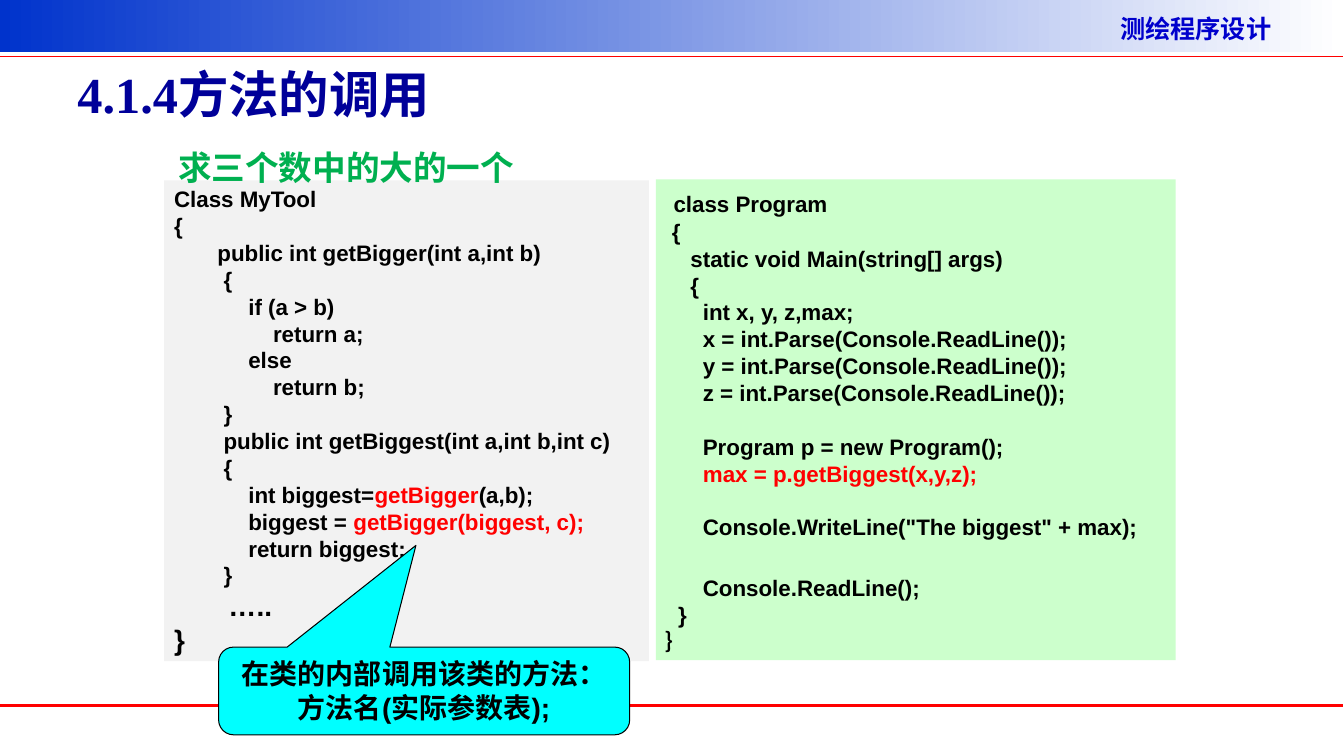
from lxml import etree
from pptx import Presentation
from pptx import util as u
from pptx.dml import color
from pptx.enum import shapes, text
from pptx.oxml import ns

RED = "FF0000"
BLACK = "000000"

TOOL_CODE = [
    "Class MyTool",
    "{",
    "       public int getBigger(int a,int b)",
    "        {",
    "            if (a > b)",
    "                return a;",
    "            else",
    "                return b;",
    "        }",
    "        public int getBiggest(int a,int b,int c)",
    "        {",
    ["            int biggest=", ("getBigger", {"color": RED}), "(a,b);"],
    ["            biggest = ", ("getBigger(biggest, c);", {"color": RED})],
    "            return biggest;",
    "        }",
    [("       …..", {"size": 20})],
    [("}", {"size": 20})],
]

PROGRAM_CODE = [
    [(" ", {"size": 20}), "class Program"],
    " {",
    "    static void Main(string[] args)",
    "    {",
    "      int x, y, z,max;",
    "      x = int.Parse(Console.ReadLine());",
    "      y = int.Parse(Console.ReadLine());",
    "      z = int.Parse(Console.ReadLine());",
    "      Program p = new Program();",
    ["      ", ("max = p.getBiggest(x,y,z);", {"color": RED})],
    '      Console.WriteLine("The biggest" + max);',
    "      Console.ReadLine();",
    "  }",
    "｝",
]
PROGRAM_GAPS = {8: 19.2, 10: 19.2, 11: 24}


def rgb(value):
    return color.RGBColor.from_string(value)


class SlideBuilder:
    base = {"size": 16, "name": "Arial", "bold": True, "color": BLACK}
    east_asian = "Noto Sans CJK SC"

    def __init__(self, presentation):
        self.slide = presentation.slides.add_slide(presentation.slide_layouts[6])

    def box(self, bounds, fill, line=None, preset=shapes.MSO_SHAPE.RECTANGLE):
        shape = self.slide.shapes.add_shape(preset, *map(u.Inches, bounds))
        shape.shadow.inherit = False
        shape.fill.solid()
        shape.fill.fore_color.rgb = rgb(fill)
        if line:
            shape.line.color.rgb = rgb(line)
            shape.line.width = u.Pt(0.75)
        else:
            shape.line.fill.background()
        return shape

    def gradient_bar(self, bounds, colors):
        shape = self.box(bounds, colors[0])
        shape.fill.gradient()
        shape.fill.gradient_angle = 0
        for position, (stop, value) in enumerate(zip(shape.fill.gradient_stops, colors)):
            stop.color.rgb = rgb(value)
            stop.position = position

    def callout(self, bounds, fill, adjustments):
        preset = shapes.MSO_SHAPE.ROUNDED_RECTANGULAR_CALLOUT
        shape = self.box(bounds, fill, BLACK, preset)
        for index, value in enumerate(adjustments):
            shape.adjustments[index] = value
        return shape

    def rule(self, y, width, value):
        line = self.slide.shapes.add_connector(
            shapes.MSO_CONNECTOR.STRAIGHT, 0, u.Inches(y), u.Inches(13.33), u.Inches(y))
        line.line.color.rgb = rgb(value)
        line.line.width = u.Pt(width)
        etree.SubElement(line._element.spPr, ns.qn("a:effectLst"))

    def label(self, bounds, content, anchor=text.MSO_ANCHOR.TOP, **style):
        shape = self.slide.shapes.add_textbox(*map(u.Inches, bounds))
        self.set_lines(shape, [content], anchor=anchor, exact=False, **style)

    def set_lines(self, shape, lines, align=text.PP_ALIGN.LEFT,
                  anchor=text.MSO_ANCHOR.TOP, exact=True, gaps=None, **style):
        frame = shape.text_frame
        frame.word_wrap = True
        frame.vertical_anchor = anchor
        for index, line in enumerate(lines):
            paragraph = frame.add_paragraph() if index else frame.paragraphs[0]
            paragraph.alignment = align
            pieces = [line] if isinstance(line, str) else line
            sizes = [self.add_run(paragraph, piece, style) for piece in pieces]
            if exact:
                paragraph.line_spacing = u.Pt(1.2 * max(sizes))
            if gaps and index in gaps:
                paragraph.space_before = u.Pt(gaps[index])

    def add_run(self, paragraph, piece, style):
        content, changes = (piece, {}) if isinstance(piece, str) else piece
        values = {**self.base, **style, **changes}
        run = paragraph.add_run()
        run.text = content
        run.font.color.rgb = rgb(values["color"])
        settings = {"size": u.Pt(values["size"]), "name": values["name"], "bold": values["bold"]}
        for attribute, value in settings.items():
            setattr(run.font, attribute, value)
        latin = run.font._element.find(ns.qn("a:latin"))
        latin.addnext(etree.Element(ns.qn("a:ea"), typeface=self.east_asian))
        return values["size"]


def main():
    presentation = Presentation()
    presentation.slide_width = u.Inches(13.34)
    presentation.slide_height = u.Inches(7.5)
    builder = SlideBuilder(presentation)

    builder.gradient_bar((0, 0, 13.33, 0.52), ("0033CC", "FFFFFF"))
    builder.label((11.02, 0.08, 2.5, 0.4), "测绘程序设计",
                  size=18, name="Noto Sans CJK SC", color="0000CC")
    builder.rule(7, 2.25, RED)
    builder.rule(0.56, 1, RED)
    builder.label((0.67, 0.3, 12, 1.25), "4.1.4方法的调用", text.MSO_ANCHOR.MIDDLE,
                  size=36, name="Times New Roman", color="000099")

    tool_panel = builder.box((1.63, 1.79, 4.81, 4.77), "F2F2F2")
    builder.set_lines(tool_panel, TOOL_CODE)
    program_panel = builder.box((6.51, 1.78, 5.16, 4.77), "CCFFCC")
    builder.set_lines(program_panel, PROGRAM_CODE, gaps=PROGRAM_GAPS)

    callout = builder.callout((2.17, 6.42, 4.08, 0.87), "00FFFF", (-0.02, -1.66, 0.17))
    builder.set_lines(callout, ["在类的内部调用该类的方法：", "方法名(实际参数表);"],
                      align=text.PP_ALIGN.CENTER, size=20)
    builder.label((1.67, 1.41, 4.25, 0.5), "求三个数中的大的一个", size=24, color="00B050")

    presentation.save("out.pptx")


if __name__ == "__main__":
    main()
